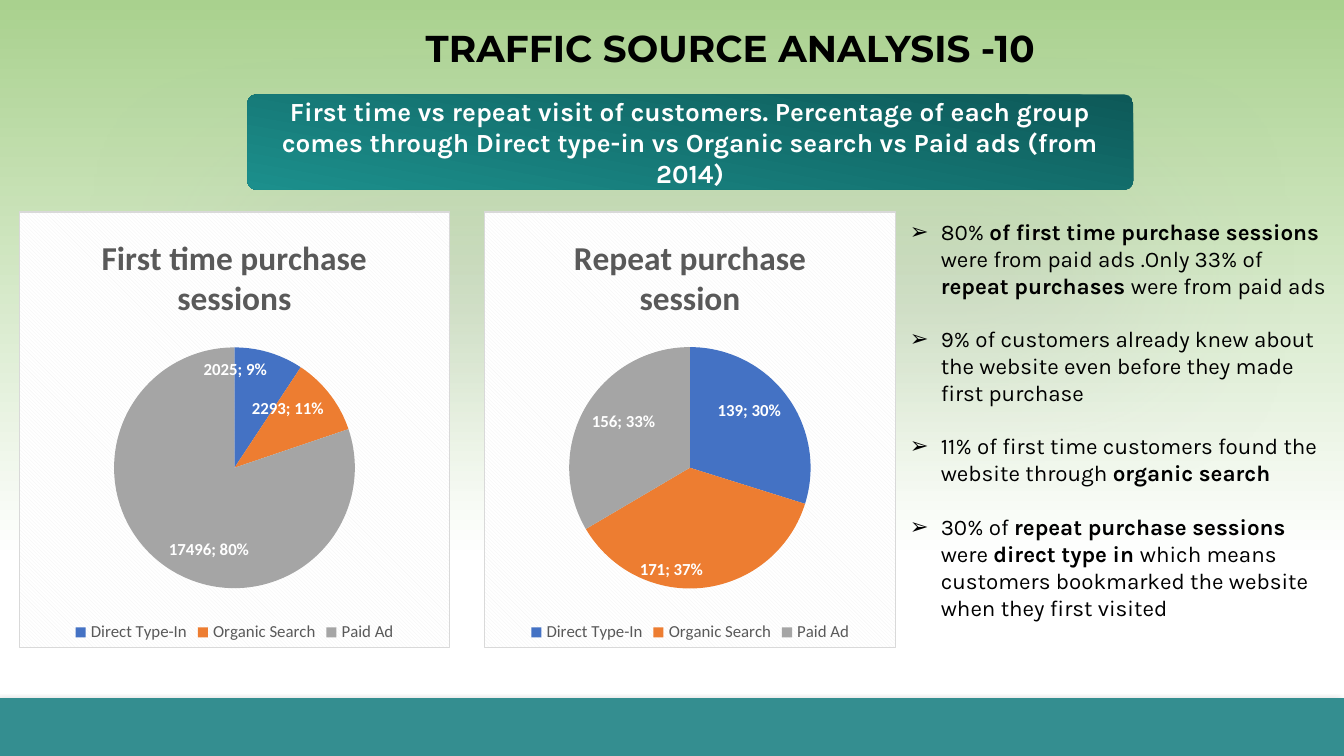
import dataclasses
import typing

import pptx
import pptx.chart.data
import pptx.dml.color
import pptx.enum.chart
import pptx.enum.shapes
import pptx.enum.text
import pptx.oxml
import pptx.oxml.ns
import pptx.util

RGBColor = pptx.dml.color.RGBColor
BLACK = RGBColor(0x00, 0x00, 0x00)
WHITE = RGBColor(0xFF, 0xFF, 0xFF)
GREY = RGBColor(0x59, 0x59, 0x59)
LEAF = RGBColor(0xA9, 0xD1, 0x8E)
TEAL = RGBColor(0x34, 0x8E, 0x90)
DARK_TEAL = RGBColor(0x0D, 0x59, 0x58)
BRIGHT_TEAL = RGBColor(0x1C, 0x8F, 0x8C)
SHADOW_GREY = RGBColor(0xA6, 0xA6, 0xA6)
SLICE_COLORS = (RGBColor(0x44, 0x72, 0xC4), RGBColor(0xED, 0x7D, 0x31), RGBColor(0xA5, 0xA5, 0xA5))

WIDTH = pptx.util.Inches(10)
HEIGHT = WIDTH * 9 // 16
SOURCES = ("Direct Type-In", "Organic Search", "Paid Ad")
QUESTION = ("First time vs repeat visit of customers. Percentage of each group comes through "
            "Direct type-in vs Organic search vs Paid ads (from 2014)")


@dataclasses.dataclass(frozen=True)
class Area:
    """A place on the page, in percent of its width and height."""
    left: float
    top: float
    width: float
    height: float

    def box(self) -> tuple[int, int, int, int]:
        return (int(WIDTH * self.left / 100), int(HEIGHT * self.top / 100),
                int(WIDTH * self.width / 100), int(HEIGHT * self.height / 100))


@dataclasses.dataclass(frozen=True)
class Pie:
    title: str
    sessions: tuple[int, int, int]
    area: Area
    plot: Area  # in percent of the chart


class Span(typing.NamedTuple):
    text: str
    bold: bool = False


PIES = (
    Pie("Repeat purchase session", (139, 171, 156),
        Area(36, 27.95, 30.7, 57.8), Area(20.6, 31, 58.7, 55.5)),
    Pie("First time purchase sessions", (2025, 2293, 17496),
        Area(1.4, 27.95, 32.1, 57.8), Area(22, 31, 56, 55.5)),
)
FINDINGS = (
    (Span("80% "), Span("of first time purchase sessions ", True),
     Span("were from paid ads .Only 33% of "), Span("repeat purchases", True),
     Span(" were from paid ads")),
    (Span("9% of customers already knew about the website even before they made first purchase"),),
    (Span("11% of first time customers found the website through "), Span("organic search", True)),
    (Span("30% of "), Span("repeat purchase sessions ", True), Span("were "),
     Span("direct type in ", True),
     Span("which means customers bookmarked the website when they first visited")),
)


def element(xml: str):
    """Read one XML element that uses the a: and c: prefixes."""
    tag, rest = xml.split(">", 1)
    return pptx.oxml.parse_xml(f"{tag} {pptx.oxml.ns.nsdecls('a', 'c')}>{rest}")


def style(font, name: str, size: float, color: RGBColor, bold: bool = False) -> None:
    font.name, font.size, font.bold = name, pptx.util.Pt(size), bold
    font.color.rgb = color


def add_span(para, span: Span, name: str, size: float, color: RGBColor) -> None:
    run = para.add_run()
    run.text = span.text
    style(run.font, name, size, color, span.bold)


def set_gradient(fill, start: RGBColor, end: RGBColor, end_at: float, angle: float) -> None:
    fill.gradient()
    fill.gradient_angle = angle
    for stop, color, position in zip(fill.gradient_stops, (start, end), (0, end_at)):
        stop.color.rgb = color
        stop.position = position


def set_shadow(shape, color: RGBColor, blur: float, distance: float, angle: int) -> None:
    """Cast a 40% shadow; lengths in points, angle in degrees clockwise."""
    shape.shadow.inherit = False
    effects = shape._element.spPr.find(pptx.oxml.ns.qn("a:effectLst"))
    effects.append(element(
        f'<a:outerShdw blurRad="{pptx.util.Pt(blur)}" dist="{pptx.util.Pt(distance)}" '
        f'dir="{angle * 60000}" algn="t" rotWithShape="0"><a:srgbClr val="{color}">'
        '<a:alpha val="40000"/></a:srgbClr></a:outerShdw>'))


def add_panel(page, kind, area: Area):
    panel = page.shapes.add_shape(kind, *area.box())
    panel.line.fill.background()
    return panel


def add_footer_bar(page) -> None:
    bar = add_panel(page, pptx.enum.shapes.MSO_SHAPE.RECTANGLE, Area(0, 92.35, 100, 7.65))
    bar.fill.solid()
    bar.fill.fore_color.rgb = TEAL
    set_shadow(bar, BLACK, 4, 3, 135)


def add_question(page) -> None:
    panel = add_panel(page, pptx.enum.shapes.MSO_SHAPE.ROUNDED_RECTANGLE,
                      Area(18.4, 12.5, 65.9, 12.6))
    panel.adjustments[0] = 0.09
    set_gradient(panel.fill, DARK_TEAL, BRIGHT_TEAL, 1, 260)
    set_shadow(panel, SHADOW_GREY, 100, 70, 90)
    frame = panel.text_frame
    frame.word_wrap = True
    frame.vertical_anchor = pptx.enum.text.MSO_ANCHOR.MIDDLE
    para = frame.paragraphs[0]
    para.alignment = pptx.enum.text.PP_ALIGN.CENTER
    add_span(para, Span(QUESTION, True), "Karla", 14, WHITE)


def bring_to_front(page, shape) -> None:
    page.shapes._spTree.append(shape._element)


def fill_title(title) -> None:
    title.left, title.top, title.width, title.height = Area(18.1, 2.25, 72.5, 8).box()
    frame = title.text_frame
    frame.auto_size = pptx.enum.text.MSO_AUTO_SIZE.NONE
    frame.vertical_anchor = pptx.enum.text.MSO_ANCHOR.BOTTOM
    para = frame.paragraphs[0]
    para.alignment = pptx.enum.text.PP_ALIGN.CENTER
    para.line_spacing = 0.9
    add_span(para, Span("TRAFFIC SOURCE ANALYSIS -10", True), "Montserrat", 20, BLACK)


def fill_findings(body) -> None:
    body.left, body.top, body.width, body.height = Area(66.7, 27.95, 33.3, 72).box()
    frame = body.text_frame
    frame.auto_size = pptx.enum.text.MSO_AUTO_SIZE.NONE
    indent = pptx.util.Inches(0.23)
    for index, spans in enumerate(FINDINGS):
        para = frame.add_paragraph() if index else frame.paragraphs[0]
        properties = para._p.get_or_add_pPr()
        properties.set("marL", str(indent))
        properties.set("indent", str(-indent))
        properties.append(element('<a:buChar char="➢"></a:buChar>'))
        para.space_before = pptx.util.Pt(14.3 if index else 0)
        for span in spans:
            add_span(para, span, "Karla", 12, BLACK)


def place_plot(chart, plot: Area) -> None:
    plot_area = chart._chartSpace.chart.plotArea
    for layout in plot_area.findall(pptx.oxml.ns.qn("c:layout")):
        plot_area.remove(layout)
    shares = zip("xywh", dataclasses.astuple(plot))
    lengths = "".join(f'<c:{key} val="{share / 100:.3f}"/>' for key, share in shares)
    plot_area.insert(0, element(
        '<c:layout><c:manualLayout><c:layoutTarget val="inner"/><c:xMode val="edge"/>'
        f'<c:yMode val="edge"/>{lengths}</c:manualLayout></c:layout>'))


def add_pie(page, pie: Pie) -> None:
    data = pptx.chart.data.CategoryChartData()
    data.categories = SOURCES
    data.add_series("Series 1", pie.sessions)
    chart = page.shapes.add_chart(pptx.enum.chart.XL_CHART_TYPE.PIE, *pie.area.box(), data).chart
    style(chart.font, "Calibri", 10, BLACK)
    chart.has_title = True
    add_span(chart.chart_title.text_frame.paragraphs[0], Span(pie.title, True), "Calibri", 18, GREY)
    chart.chart_title.include_in_layout = False
    chart.has_legend = True
    chart.legend.position = pptx.enum.chart.XL_LEGEND_POSITION.BOTTOM
    chart.legend.include_in_layout = False
    style(chart.legend.font, "Calibri", 9, GREY)

    plot = chart.plots[0]
    plot.vary_by_categories = True
    series = plot.series[0]
    for index, color in enumerate(SLICE_COLORS):
        fill = series.points[index].format.fill
        fill.solid()
        fill.fore_color.rgb = color
    labels = series.data_labels
    labels.show_value = labels.show_percentage = True
    labels.position = pptx.enum.chart.XL_LABEL_POSITION.INSIDE_END
    style(labels.font, "Calibri", 9, WHITE, True)
    labels._element.find(pptx.oxml.ns.qn("c:showBubbleSize")).addnext(
        element("<c:separator>; </c:separator>"))

    place_plot(chart, pie.plot)
    chart._chartSpace.chart.addnext(element(
        '<c:spPr><a:pattFill prst="dkDnDiag"><a:fgClr><a:srgbClr val="F2F2F2"/></a:fgClr>'
        '<a:bgClr><a:srgbClr val="FFFFFF"/></a:bgClr></a:pattFill>'
        '<a:ln w="9525"><a:solidFill><a:srgbClr val="D9D9D9"/></a:solidFill></a:ln></c:spPr>'))


def main() -> None:
    deck = pptx.Presentation()
    deck.slide_width, deck.slide_height = WIDTH, HEIGHT
    page = deck.slides.add_slide(deck.slide_layouts[1])
    set_gradient(page.background.fill, LEAF, WHITE, 0.74, 270)
    title, body = page.shapes.title, page.placeholders[1]
    add_footer_bar(page)
    add_question(page)
    bring_to_front(page, body)
    bring_to_front(page, title)
    fill_findings(body)
    fill_title(title)
    for pie in PIES:
        add_pie(page, pie)
    deck.save("out.pptx")


if __name__ == "__main__":
    main()
